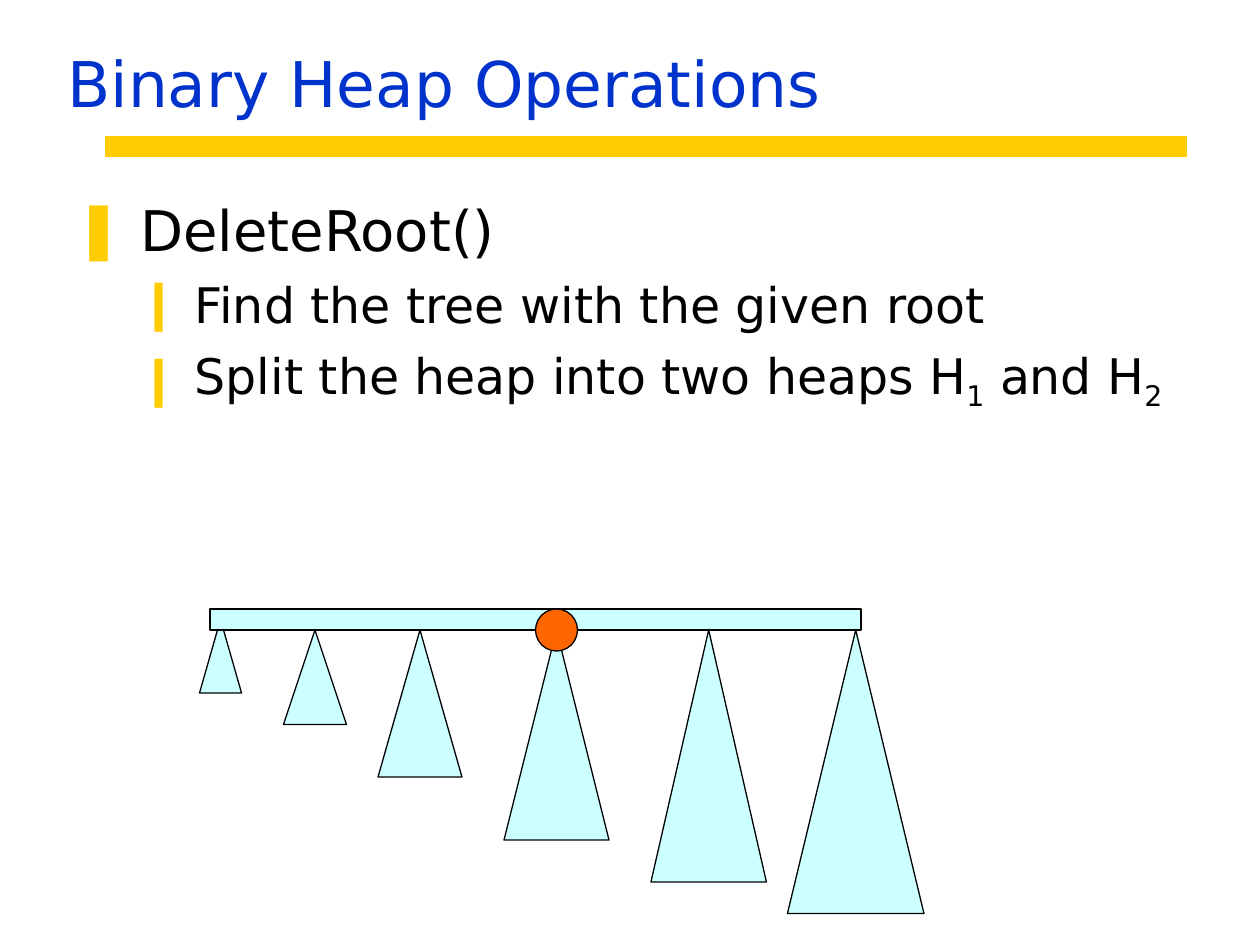
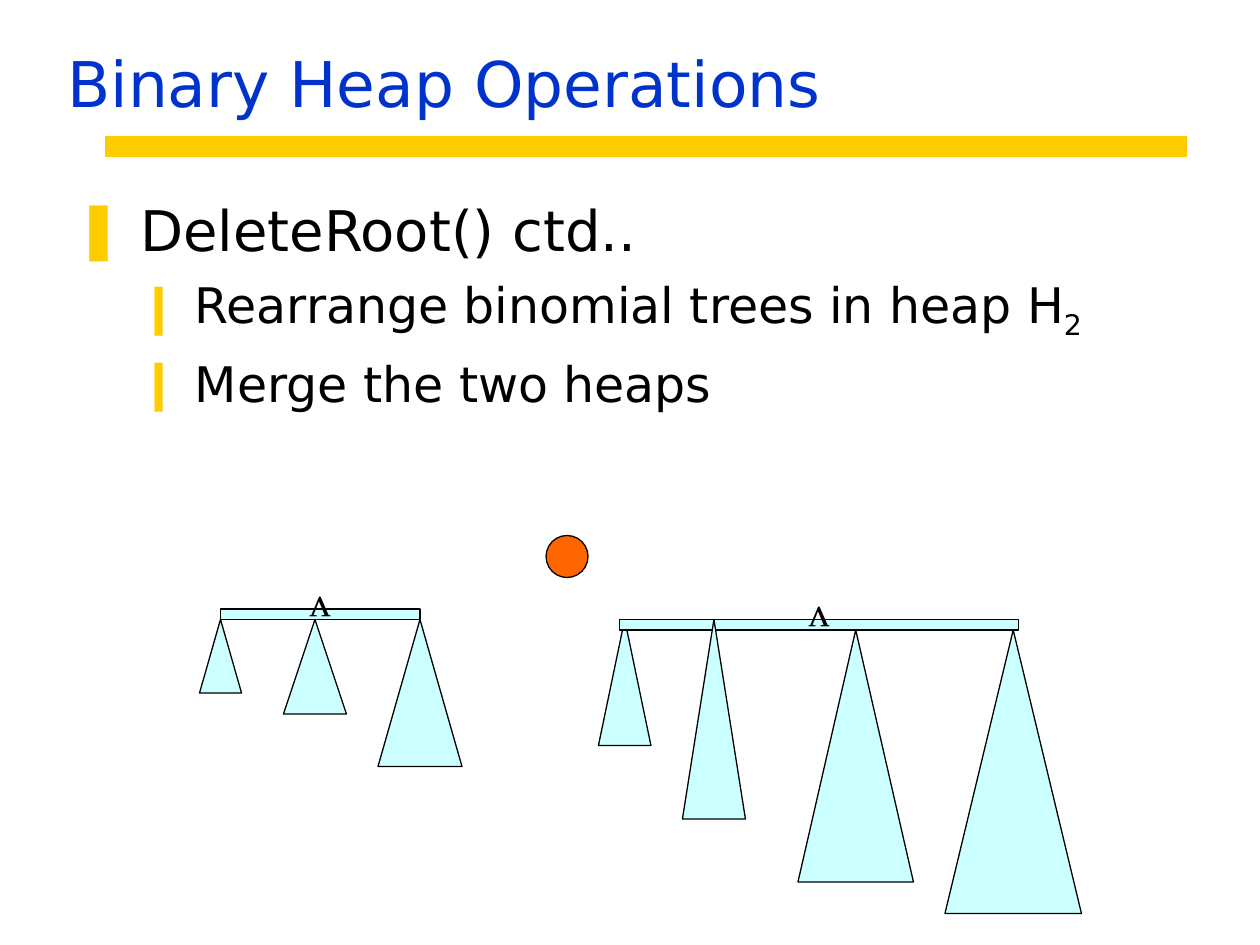
"""Builds two slides on deleting a root from a heap of binomial trees."""
from lxml import etree
from pptx import Presentation
from pptx import util as u
from pptx.dml.color import RGBColor
from pptx.enum import shapes, text
from pptx.oxml.ns import qn

BLUE = RGBColor(0x00, 0x33, 0xCC)
GOLD = RGBColor(0xFF, 0xCC, 0x00)
BLACK = RGBColor(0x00, 0x00, 0x00)
PALE_CYAN = RGBColor(0xCC, 0xFF, 0xFF)
ORANGE = RGBColor(0xFF, 0x66, 0x00)
FONT = "DejaVu Sans"
BAR_FONT = "Times New Roman"
TITLE = "Binary Heap Operations"
GRID = u.Cm(2.54) / 12

LEVELS = (
    {"size": 32, "before": 8, "bullet": "❚", "margin": u.Cm(0.95), "hang": u.Cm(0.95)},
    {"size": 28, "before": 7, "bullet": "❙", "margin": u.Cm(2.06), "hang": u.Cm(0.79)},
)
KINDS = {
    "tree": (shapes.MSO_SHAPE.FLOWCHART_EXTRACT, PALE_CYAN),
    "bar": (shapes.MSO_SHAPE.RECTANGLE, PALE_CYAN),
    "root": (shapes.MSO_SHAPE.OVAL, ORANGE),
}

# Bullet pieces alternate between normal text and subscript; parts are in grid steps.
SLIDES = (
    {
        "bullets": (
            (0, (" DeleteRoot()",)),
            (1, (" Find the tree with the given root",)),
            (1, (" Split the heap into two heaps H", "1", " and H", "2")),
        ),
        "parts": (
            ("tree", 27, 60, 6, 9, ""),
            ("tree", 36, 60, 8, 14, ""),
            ("tree", 48, 60, 10, 20, ""),
            ("tree", 19, 59, 4, 7, ""),
            ("bar", 20, 58, 62, 2, ""),
            ("tree", 62, 60, 11, 24, ""),
            ("tree", 75, 60, 13, 27, ""),
            ("root", 51, 58, 4, 4, ""),
        ),
    },
    {
        "bullets": (
            (0, (" DeleteRoot() ctd..",)),
            (1, (" Rearrange binomial trees in heap H", "2")),
            (1, (" Merge the two heaps",)),
        ),
        "parts": (
            ("tree", 27, 59, 6, 9, ""),
            ("tree", 36, 59, 8, 14, ""),
            ("tree", 57, 59, 5, 12, ""),
            ("tree", 19, 59, 4, 7, ""),
            ("bar", 59, 59, 38, 1, "v"),
            ("tree", 76, 60, 11, 24, ""),
            ("tree", 90, 60, 13, 27, ""),
            ("root", 52, 51, 4, 4, ""),
            ("tree", 65, 59, 6, 19, ""),
            ("bar", 21, 58, 19, 1, "v"),
        ),
    },
)


def style_run(run, size, color, font=FONT):
    run.font.size = u.Pt(size)
    run.font.name = font
    run.font.color.rgb = color


def add_rule(slide):
    rule = slide.shapes.add_connector(
        shapes.MSO_CONNECTOR.STRAIGHT, u.Cm(2.12), u.Cm(2.96), u.Cm(23.92), u.Cm(2.96))
    rule.line.color.rgb = GOLD
    rule.line.width = u.Pt(12)
    etree.SubElement(rule._element.spPr, qn("a:effectLst"))


def add_title(slide):
    frame = slide.shapes.add_textbox(
        u.Cm(1.11), u.Cm(0.64), u.Cm(21.59), u.Cm(1.9)).text_frame
    frame.word_wrap = True
    frame.vertical_anchor = text.MSO_ANCHOR.BOTTOM
    frame.text = TITLE
    style_run(frame.paragraphs[0].runs[0], 36, BLUE)


def set_bullet(paragraph, level):
    properties = paragraph._p.get_or_add_pPr()
    properties.set("marL", str(level["margin"]))
    properties.set("indent", str(-level["hang"]))
    color = etree.SubElement(properties, qn("a:buClr"))
    etree.SubElement(color, qn("a:srgbClr"), val=str(GOLD))
    etree.SubElement(properties, qn("a:buFont"), typeface=FONT)
    etree.SubElement(properties, qn("a:buChar"), char=level["bullet"])


def add_body(slide, bullets):
    frame = slide.shapes.add_textbox(
        u.Cm(1.27), u.Cm(3.81), u.Cm(22.7), u.Cm(13.97)).text_frame
    frame.word_wrap = True
    for index, (depth, pieces) in enumerate(bullets):
        paragraph = frame.add_paragraph() if index else frame.paragraphs[0]
        level = LEVELS[depth]
        paragraph.level = depth
        paragraph.space_before = u.Pt(level["before"])
        set_bullet(paragraph, level)
        for position, piece in enumerate(pieces):
            run = paragraph.add_run()
            run.text = piece
            style_run(run, level["size"], BLACK)
            if position % 2:
                run.font._element.set("baseline", "-25000")


def add_part(slide, kind, left, top, width, height, label):
    preset, fill = KINDS[kind]
    box = [round(GRID * steps) for steps in (left, top, width, height)]
    shape = slide.shapes.add_shape(preset, *box)
    shape.shadow.inherit = False
    shape.fill.solid()
    shape.fill.fore_color.rgb = fill
    shape.line.color.rgb = BLACK
    shape.line.width = u.Pt(0.75)
    if label:
        shape._element.spPr.xfrm.set("flipV", "1")
        frame = shape.text_frame
        frame.word_wrap = False
        frame.vertical_anchor = text.MSO_ANCHOR.MIDDLE
        frame.margin_top = frame.margin_bottom = u.Cm(0.08)
        frame.text = label
        frame.paragraphs[0].alignment = text.PP_ALIGN.CENTER
        style_run(frame.paragraphs[0].runs[0], 24, BLACK, BAR_FONT)


def main():
    presentation = Presentation()
    presentation.slide_width, presentation.slide_height = u.Cm(25.4), u.Cm(19.05)
    for content in SLIDES:
        slide = presentation.slides.add_slide(presentation.slide_layouts[6])
        add_rule(slide)
        add_title(slide)
        add_body(slide, content["bullets"])
        for part in content["parts"]:
            add_part(slide, *part)
    presentation.save("out.pptx")


if __name__ == "__main__":
    main()
